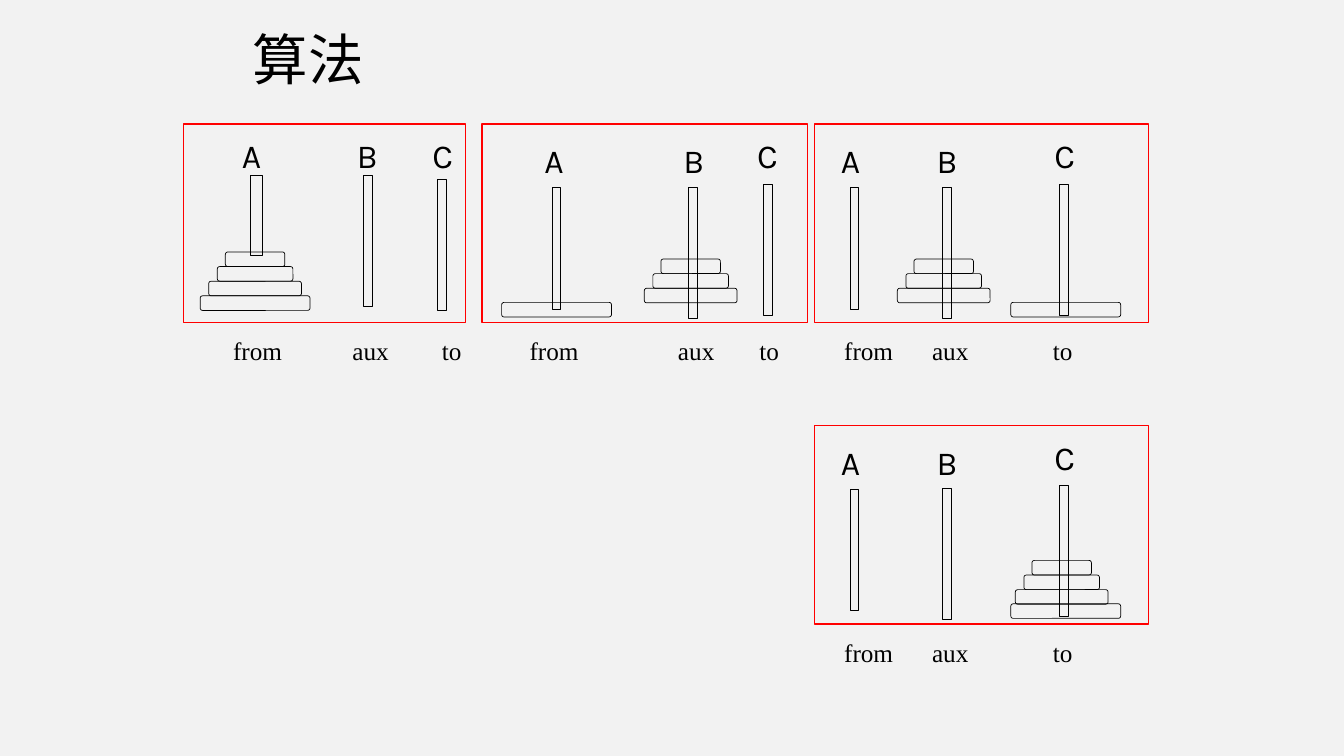
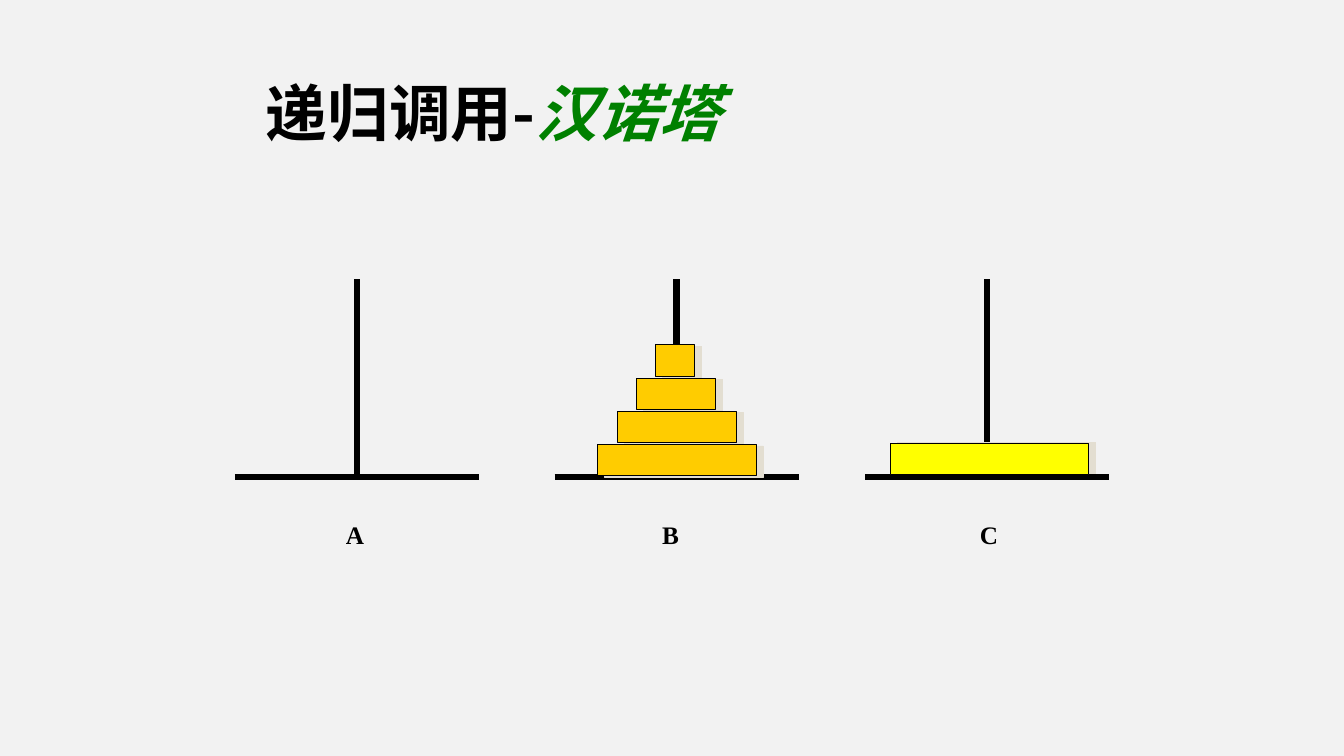
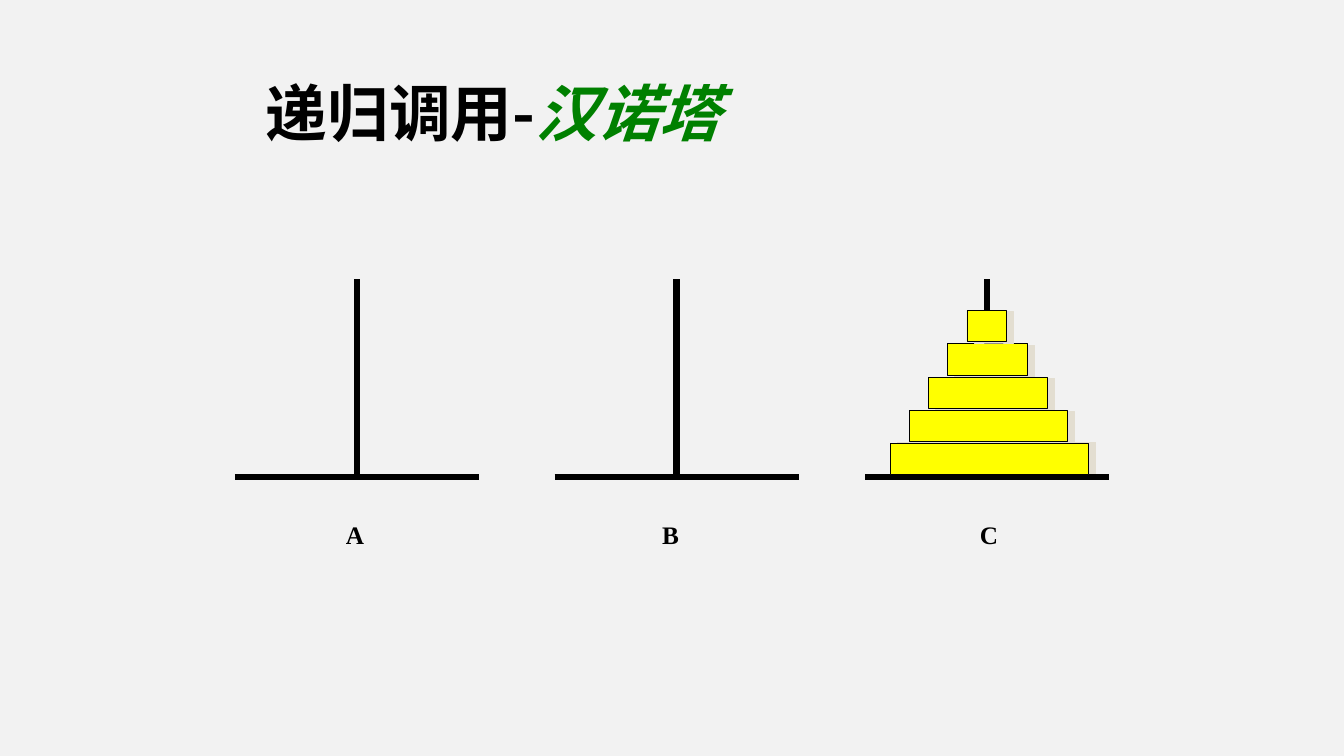
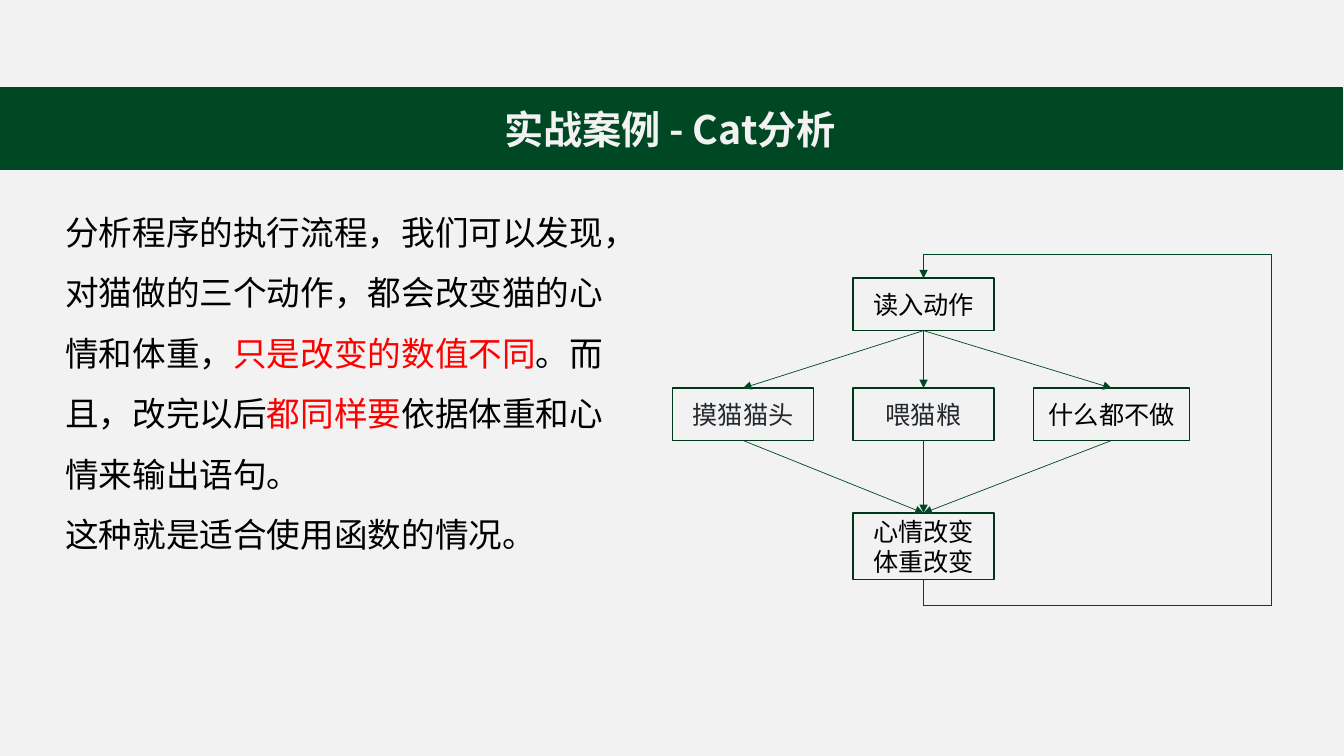
import pptx
import pptx.dml.color
import pptx.enum.shapes
import pptx.enum.text
import pptx.oxml
import pptx.oxml.ns
import pptx.util

Inches = pptx.util.Inches
Pt = pptx.util.Pt
Shapes = pptx.enum.shapes.MSO_SHAPE
Align = pptx.enum.text.PP_ALIGN
Anchor = pptx.enum.text.MSO_ANCHOR

COLORS = {
    "background": "F2F2F2",
    "black": "000000",
    "red": "FF0000",
    "accent": "008000",
    "band": "004723",
    "box_line": "00351A",
    "grey_text": "24292E",
    "orange": "FFCC00",
    "yellow": "FFFF00",
    "shadow": "E3DED1",
}
CJK = "Noto Sans CJK SC"
SERIF = "Times New Roman"
LETTER = "Karla"


def color(name):
    return pptx.dml.color.RGBColor.from_string(COLORS[name])


def add_child(parent, tag, **attributes):
    child = pptx.oxml.parse_xml(f"<{tag} {pptx.oxml.ns.nsdecls('a')}/>")
    for key, value in attributes.items():
        child.set(key, str(value))
    parent.append(child)
    return child


class Deck:
    def __init__(self):
        self.presentation = pptx.Presentation()
        self.presentation.slide_width = Inches(13.33)
        self.presentation.slide_height = Inches(7.5)
        fill = self.presentation.slide_master.background.fill
        fill.solid()
        fill.fore_color.rgb = color("background")
        self.slide = None

    def new_slide(self):
        self.slide = self.presentation.slides.add_slide(self.presentation.slide_layouts[6])

    def set_text(self, shape, paragraphs, size, font=CJK, align=Align.CENTER,
                 anchor=Anchor.MIDDLE, wrap=True, spacing=None, bold=False):
        frame = shape.text_frame
        frame.word_wrap = wrap
        frame.vertical_anchor = anchor
        for index, runs in enumerate(paragraphs):
            paragraph = frame.add_paragraph() if index else frame.paragraphs[0]
            paragraph.alignment = align
            if spacing:
                paragraph.line_spacing = spacing
            for text, color_name, italic in runs:
                run = paragraph.add_run()
                run.text = text
                run.font.size = Pt(size)
                run.font.bold = bold
                run.font.italic = italic
                run.font.color.rgb = color(color_name)
                run.font.name = font
                add_child(run.font._element, "a:ea", typeface=font)

    def text(self, left, top, width, height, paragraphs, size, **style):
        box = self.slide.shapes.add_textbox(
            Inches(left), Inches(top), Inches(width), Inches(height))
        self.set_text(box, paragraphs, size, **style)

    def label(self, left, top, width, text, size, font, bold=False):
        self.text(left, top, width, 0.4, [[(text, "black", False)]], size,
                  font=font, wrap=False, bold=bold)

    def title(self, left, top, width, height, runs, size, bold=False):
        self.text(left, top, width, height, [runs], size,
                  align=Align.LEFT, spacing=0.9, bold=bold)

    def shape(self, left, top, width, height, line="black", line_width=0.5,
              fill=None, kind=Shapes.RECTANGLE, shadow_angle=None):
        shape = self.slide.shapes.add_shape(
            kind, Inches(left), Inches(top), Inches(width), Inches(height))
        shape.line.color.rgb = color(line)
        shape.line.width = Pt(line_width)
        if fill:
            shape.fill.solid()
            shape.fill.fore_color.rgb = color(fill)
        else:
            shape.fill.background()
        shape.shadow.inherit = False
        if shadow_angle is not None:
            effects = shape._element.spPr.find(pptx.oxml.ns.qn("a:effectLst"))
            shadow = add_child(effects, "a:outerShdw", dist=Pt(5.1),
                               dir=shadow_angle * 60000, algn="ctr", rotWithShape=0)
            add_child(shadow, "a:srgbClr", val=COLORS["shadow"])
        return shape

    def line(self, start, end, line_color="black", width=4.5, arrow=False):
        connector = self.slide.shapes.add_connector(
            pptx.enum.shapes.MSO_CONNECTOR.STRAIGHT,
            Inches(start[0]), Inches(start[1]), Inches(end[0]), Inches(end[1]))
        connector.line.color.rgb = color(line_color)
        connector.line.width = Pt(width)
        if arrow:
            add_child(connector.line._get_or_add_ln(), "a:tailEnd", type="triangle")
        add_child(connector._element.spPr, "a:effectLst")

    def arrow(self, *points):
        last = len(points) - 2
        for index, (start, end) in enumerate(zip(points, points[1:])):
            self.line(start, end, "band", 0.5, arrow=index == last)

    def stack(self, center, top, widths):
        for index, width in enumerate(widths):
            self.shape(center - width / 2, top + 0.145 * index, width, 0.145,
                       kind=Shapes.ROUNDED_RECTANGLE)

    def panel(self, left, width, pegs, captions, stacks, shift=0):
        self.shape(left, 1.23 + shift, width, 1.97, "red", 1)
        for letter, (letter_left, letter_top, *peg) in zip("ABC", pegs):
            self.label(letter_left, letter_top + shift, 0.39, letter, 24, LETTER)
            peg_left, peg_top, peg_width, peg_height = peg
            self.shape(peg_left, peg_top + shift, peg_width, peg_height)
        for text, caption_width, caption_left in zip(
                ("from", "aux", "to"), (0.69, 0.57, 0.4), captions):
            self.label(caption_left, 3.28 + shift, caption_width, text, 18, SERIF)
        for center, top, widths in stacks:
            self.stack(center, top + shift, widths)

    def tower(self, left, top, widths, fill):
        for index, width in enumerate(widths):
            self.shape(left + 0.19 * index, top - 0.33 * index, width, 0.31, fill=fill,
                       shadow_angle=349 if width == DISKS[0] else 11)

    def tower_slide(self, towers):
        self.new_slide()
        for letter, left, label_left in zip("ABC", (2.33, 5.5, 8.58), (3.33, 6.46, 9.62)):
            middle = left + 1.21
            self.line((left, 4.73), (left + 2.42, 4.73))
            self.line((middle, 2.77), (middle, 4.73))
            self.label(label_left, 5.1, 0.38, letter, 18, SERIF, bold=True)
        for tower in towers:
            self.tower(*tower)
        self.title(2.54, 0.43, 6.37, 1.45,
                   [("递归调用-", "black", False), ("汉诺塔", "accent", True)], 44, bold=True)

    def flow_box(self, left, top, width, height, lines, text_color="black", font=CJK):
        box = self.shape(left, top, width, height, "box_line", 1)
        self.set_text(box, [[(text, text_color, False)] for text in lines], 18, font=font)

    def band(self, text):
        band = self.shape(-0.02, 0.87, 13.33, 0.81, "band", 1, "band")
        self.set_text(band, [[(text, "background", False)]], 28, bold=True)


DISKS = (1.97, 1.57, 1.18, 0.79, 0.39)
SMALL_DISKS = (0.59, 0.75, 0.92)
LARGE_DISK = (1.09,)


def algorithm_slide(deck):
    deck.new_slide()
    deck.title(2.41, 0.28, 8.58, 0.69, [("算法", "black", False)], 39.6)
    deck.panel(1.82, 2.8,
               [(2.3, 1.34, 2.48, 1.74, 0.12, 0.79),
                (3.44, 1.34, 3.6, 1.74, 0.09, 1.3),
                (4.19, 1.34, 4.34, 1.78, 0.09, 1.3)],
               (2.21, 3.39, 4.28),
               [(2.53, 2.5, SMALL_DISKS + LARGE_DISK)])
    deck.panel(4.78, 3.23,
               [(5.3, 1.39, 5.48, 1.86, 0.08, 1.21),
                (6.68, 1.39, 6.83, 1.86, 0.09, 1.3),
                (7.41, 1.34, 7.57, 1.83, 0.09, 1.3)],
               (5.15, 6.62, 7.43),
               [(6.85, 2.57, SMALL_DISKS), (5.52, 3, LARGE_DISK)])
    right_pegs = [(8.24, 1.39, 8.43, 1.86, 0.08, 1.21),
                  (9.19, 1.39, 9.35, 1.86, 0.09, 1.3),
                  (10.36, 1.34, 10.51, 1.83, 0.09, 1.3)]
    large = (10.57, 3, LARGE_DISK)
    for center, shift in ((9.36, 0), (10.53, 2.99)):
        deck.panel(8.08, 3.31, right_pegs, (8.27, 9.14, 10.34),
                   [(center, 2.57, SMALL_DISKS), large], shift)


def cat_slide(deck):
    deck.new_slide()
    deck.band("实战案例 - Cat分析")
    deck.text(0.55, 1.85, 5.7, 4.87, [
        [("分析程序的执行流程，我们可以发现，对猫做的三个动作，都会改变猫的心情和体重，", "black", False),
         ("只是改变的数值不同", "red", False),
         ("。而且，改完以后", "black", False),
         ("都同样要", "red", False),
         ("依据体重和心情来输出语句。", "black", False)],
        [("这种就是适合使用函数的情况。", "black", False)],
    ], 24, align=Align.LEFT, anchor=Anchor.TOP, spacing=1.5)
    center = 9.16
    deck.flow_box(8.46, 2.76, 1.4, 0.52, ["读入动作"])
    deck.flow_box(8.46, 5.09, 1.4, 0.66, ["心情改变", "体重改变"])
    for left, width, text, text_color, font in (
            (6.67, 1.4, "摸猫猫头", "grey_text", "Roboto"),
            (8.46, 1.4, "喂猫粮", "grey_text", "Roboto"),
            (10.25, 1.55, "什么都不做", "black", CJK)):
        deck.flow_box(left, 3.85, width, 0.52, [text], text_color, font)
        middle = left + width / 2
        deck.arrow((center, 3.28), (middle, 3.85))
        deck.arrow((middle, 4.37), (center, 5.09))
    deck.arrow((center, 5.75), (center, 6.01), (12.61, 6.01), (12.61, 2.52),
               (center, 2.52), (center, 2.76))


def main():
    deck = Deck()
    algorithm_slide(deck)
    deck.tower_slide([(5.93, 4.41, DISKS[1:], "orange"), (8.83, 4.4, DISKS[:1], "yellow")])
    deck.tower_slide([(8.83, 4.4, DISKS, "yellow")])
    cat_slide(deck)
    deck.presentation.save("out.pptx")


if __name__ == "__main__":
    main()
